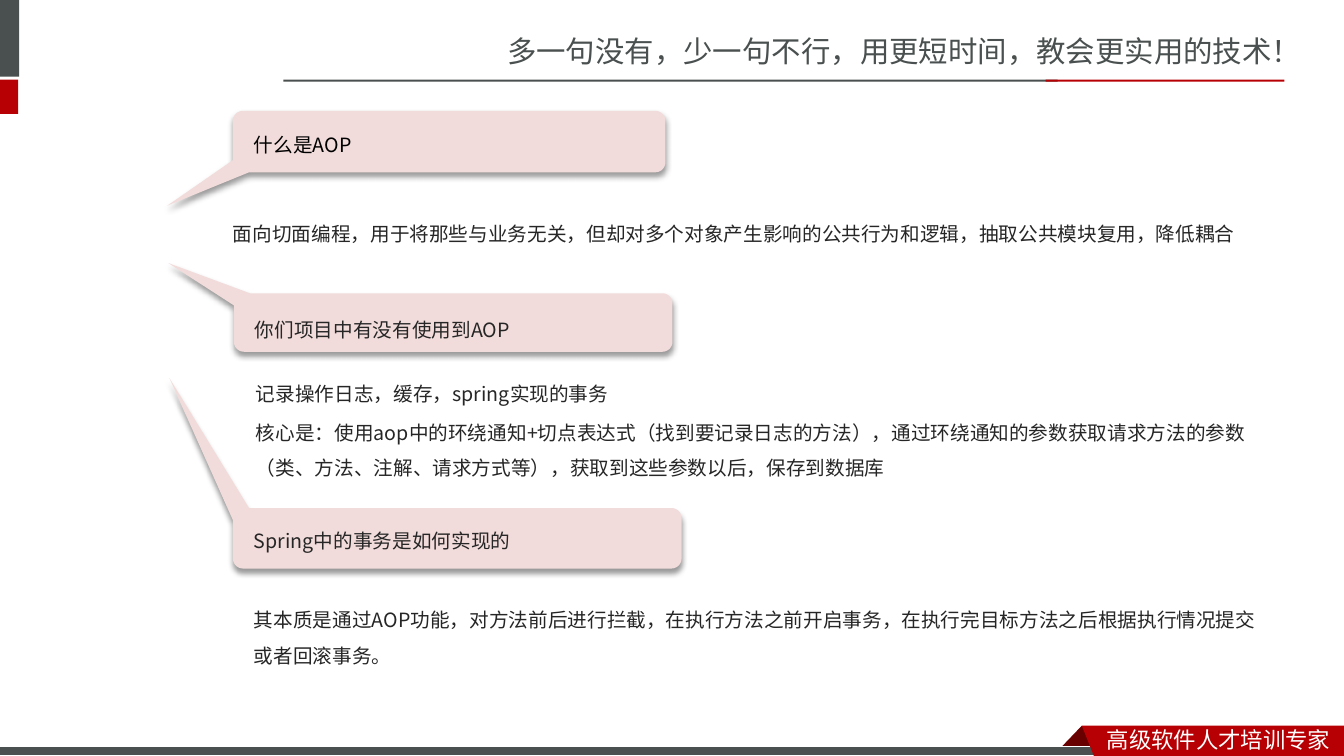
"""Build a slide of three AOP questions and their answers."""
from math import cos, radians, sin

from lxml import etree
from pptx import Presentation
from pptx.dml.color import RGBColor
from pptx.enum import shapes, text
from pptx.oxml import ns
from pptx.util import Inches, Pt

GREY = RGBColor(0x49, 0x50, 0x4F)
RED = RGBColor(0xB6, 0x00, 0x04)
DARK = RGBColor(0x68, 0x00, 0x00)
PINK = RGBColor(0xF2, 0xDC, 0xDB)
WHITE = RGBColor(0xFF, 0xFF, 0xFF)
BLACK = RGBColor(0x00, 0x00, 0x00)
INK = RGBColor(0x26, 0x26, 0x26)
SANS = "Noto Sans CJK SC"
BODY = "Noto Sans CJK JP"


def place(item, box):
    """Move a shape to a box given in inches."""
    item.left, item.top, item.width, item.height = map(Inches, box)


def write(item, lines, size, color, face, space=1.0):
    """Fill a shape with left-aligned, wrapped paragraphs."""
    frame = item.text_frame
    frame.text = "\n".join(lines)
    frame.word_wrap = True
    frame.auto_size = text.MSO_AUTO_SIZE.NONE
    frame.vertical_anchor = text.MSO_ANCHOR.TOP
    for rank, para in enumerate(frame.paragraphs):
        props = para._p.get_or_add_pPr()
        props.set("marL", "0")
        props.set("indent", "0")
        etree.SubElement(props, ns.qn("a:buNone"))
        para.alignment = text.PP_ALIGN.LEFT
        para.line_spacing = space
        para.space_before = Pt(size * 0.2 if rank else 0)
        for run in para.runs:
            run.font.size = Pt(size)
            run.font.name = face
            run.font.color.rgb = color
            east = etree.SubElement(run._r.get_or_add_rPr(), ns.qn("a:ea"))
            east.set("typeface", face)


def label(slide, box, lines, size=14, color=INK, face=BODY, space=1.5):
    """Add a text box."""
    item = slide.shapes.add_textbox(*map(Inches, box))
    write(item, lines, size, color, face, space)


def paint(item, color):
    """Give a shape a plain fill with no line or shadow."""
    item.shadow.inherit = False
    item.fill.solid()
    item.fill.fore_color.rgb = color
    item.line.fill.background()


def bar(slide, box, color):
    """Add a plain rectangle."""
    item = slide.shapes.add_shape(
        shapes.MSO_SHAPE.RECTANGLE, *map(Inches, box))
    paint(item, color)
    return item


def outline(slide, points, color):
    """Add a closed polygon through points in inches."""
    spots = [(Inches(x), Inches(y)) for x, y in points]
    pen = slide.shapes.build_freeform(*spots[0])
    pen.add_line_segments(spots[1:], close=True)
    item = pen.convert_to_shape()
    paint(item, color)
    return item


def header(slide, box):
    """Place the slogan, its two-tone rule and the corner blocks."""
    left, top, width, height = box
    title = slide.shapes.title
    place(title, (left + 2.12, top + 0.28, 8.4, 0.47))
    write(title, ["多一句没有，少一句不行，用更短时间，教会更实用的技术！"],
          21, GREY, SANS)
    bar(slide, (0, top, 0.19, 0.76), GREY)
    bar(slide, (0, top + height - 0.34, 0.18, 0.34), RED)
    bar(slide, (left, top + 0.79, 7.68, 0.02), GREY)
    bar(slide, (left + width - 2.37, top + 0.79, 2.37, 0.02), RED)


def footer(slide, box):
    """Place the bottom bar and the red ribbon with its fold."""
    left, top, width, height = box
    right, base = left + width, top + height
    fold = right - 2.6
    outline(slide, [(fold, top), (fold + 0.22, top + 0.23),
                    (fold - 0.22, top + 0.23)], DARK)
    strip = bar(slide, (left, top + 0.21, 11, 0.09), GREY)
    strip.line.color.rgb = WHITE
    strip.line.width = Pt(0.75)
    outline(slide, [(fold, top), (right, top), (right, base),
                    (fold + 0.12, base)], RED)
    label(slide, (right - 2.45, top - 0.05, 2.45, 0.37),
          ["高级软件人才培训专家"], 16, WHITE, SANS, 1.0)


def callout(slide, box, tip, words, drop, color=INK):
    """Place a rounded bubble whose tail leaves its left corner."""
    left, top, width, height = box
    rad = 0.1
    points = []
    for x, y, start in ((left + rad, top + rad, 180),
                        (left + width - rad, top + rad, 270),
                        (left + width - rad, top + height - rad, 0)):
        for step in range(0, 91, 10):
            turn = radians(start + step)
            points.append((x + rad * cos(turn), y + rad * sin(turn)))
    above = tip[1] < top
    end = 2 * top + height - tip[1] if above else tip[1]
    points += [(left + 0.16, top + height), (tip[0], end),
               (left, top + height - 0.12)]
    if above:
        points = [(x, 2 * top + height - y) for x, y in points]
    item = outline(slide, points, PINK)
    effects = item._element.spPr.find(ns.qn("a:effectLst"))
    shade = etree.SubElement(
        effects, ns.qn("a:outerShdw"), blurRad=str(Pt(4)),
        dist=str(Pt(3)), dir="5400000", algn="t", rotWithShape="0")
    tone = etree.SubElement(shade, ns.qn("a:srgbClr"), val=str(BLACK))
    etree.SubElement(tone, ns.qn("a:alpha"), val="40000")
    label(slide, (left + 0.11, top + drop, width, 0.47), [words],
          color=color)


def answers(slide, box):
    """Place the three answers from the top of the box down."""
    left, top, width, height = box
    body = slide.placeholders[1]
    place(body, (left, top, width, 0.58))
    write(body, ["面向切面编程，用于将那些与业务无关，但却对多个对象产生影响的"
                 "公共行为和逻辑，抽取公共模块复用，降低耦合"],
          14, INK, BODY, 1.5)
    label(slide, (left + 0.23, top + 1.59, width - 0.07, 1.3),
          ["记录操作日志，缓存，spring实现的事务",
           "核心是：使用aop中的环绕通知+切点表达式（找到要记录日志的方法），"
           "通过环绕通知的参数获取请求方法的参数（类、方法、注解、请求方式等），"
           "获取到这些参数以后，保存到数据库"])
    label(slide, (left + 0.21, top + height - 1.16, width - 0.28, 1.16),
          ["其本质是通过AOP功能，对方法前后进行拦截，在执行方法之前开启事务，"
           "在执行完目标方法之后根据执行情况提交或者回滚事务。"])


def main():
    """Assemble and save the slide."""
    deck = Presentation()
    deck.slide_width, deck.slide_height = Inches(13.33), Inches(7.5)
    slide = deck.slides.add_slide(deck.slide_layouts[1])
    header(slide, (2.81, 0, 9.93, 1.13))
    footer(slide, (0, 7.2, 13.33, 0.3))
    callout(slide, (2.31, 1.1, 4.29, 0.61), (1.66, 2.04),
            "什么是AOP", 0.05, BLACK)
    callout(slide, (2.32, 2.91, 4.35, 0.58), (1.67, 2.61),
            "你们项目中有没有使用到AOP", 0.08)
    callout(slide, (2.31, 5.04, 4.45, 0.6), (1.68, 3.75),
            "Spring中的事务是如何实现的", 0.04)
    answers(slide, (2.21, 2.03, 10.47, 5))
    deck.save("out.pptx")


if __name__ == "__main__":
    main()
